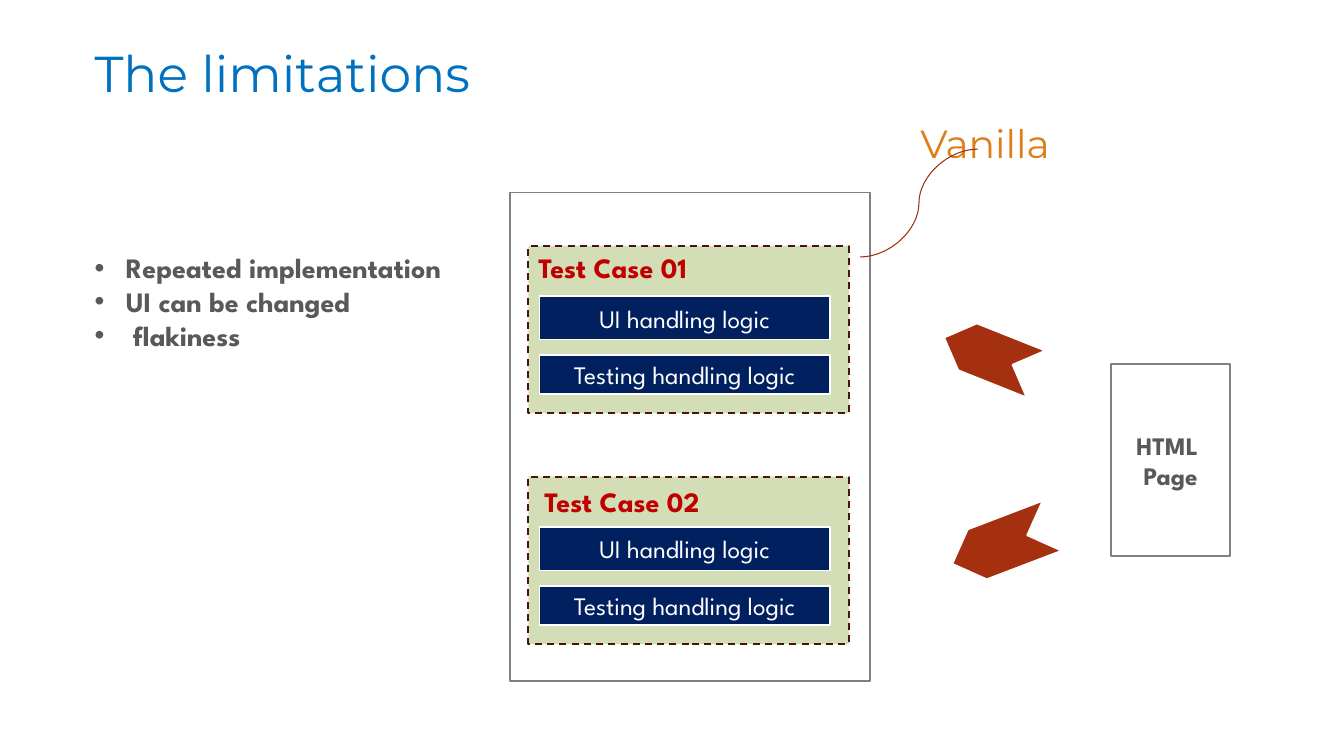
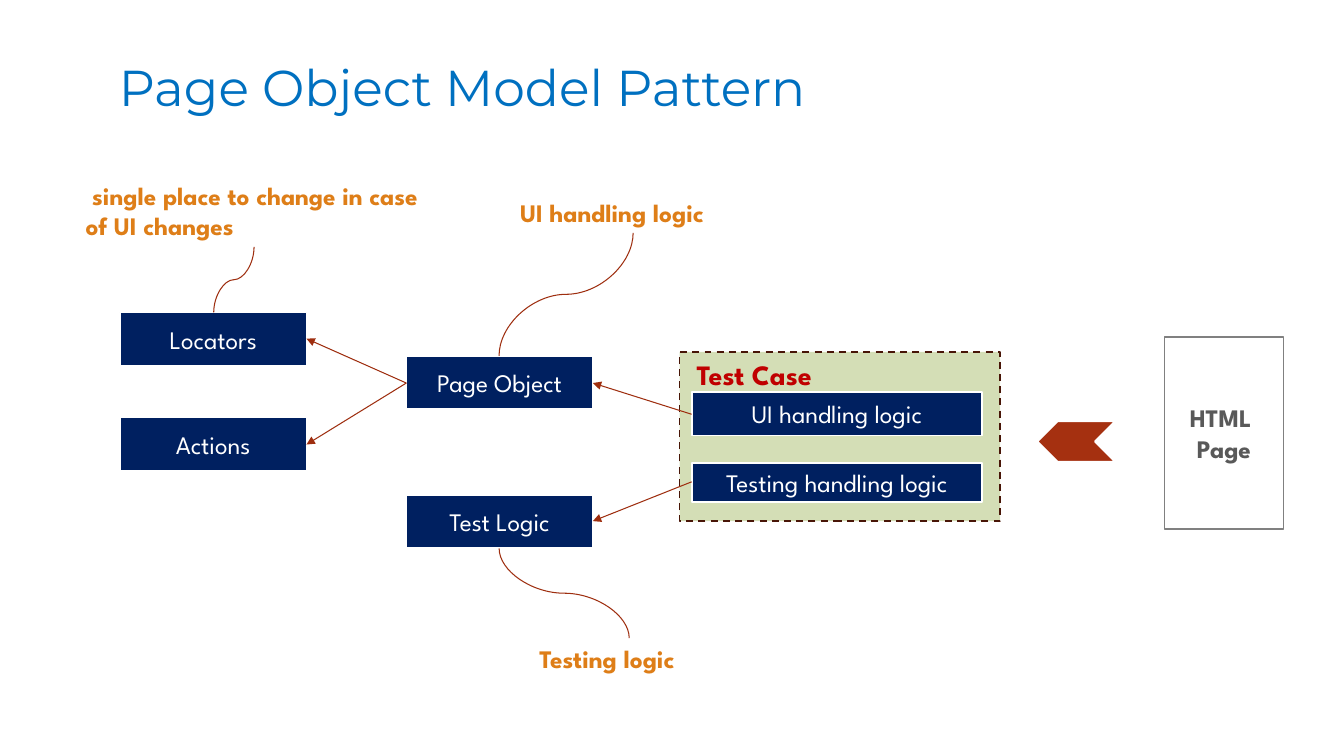
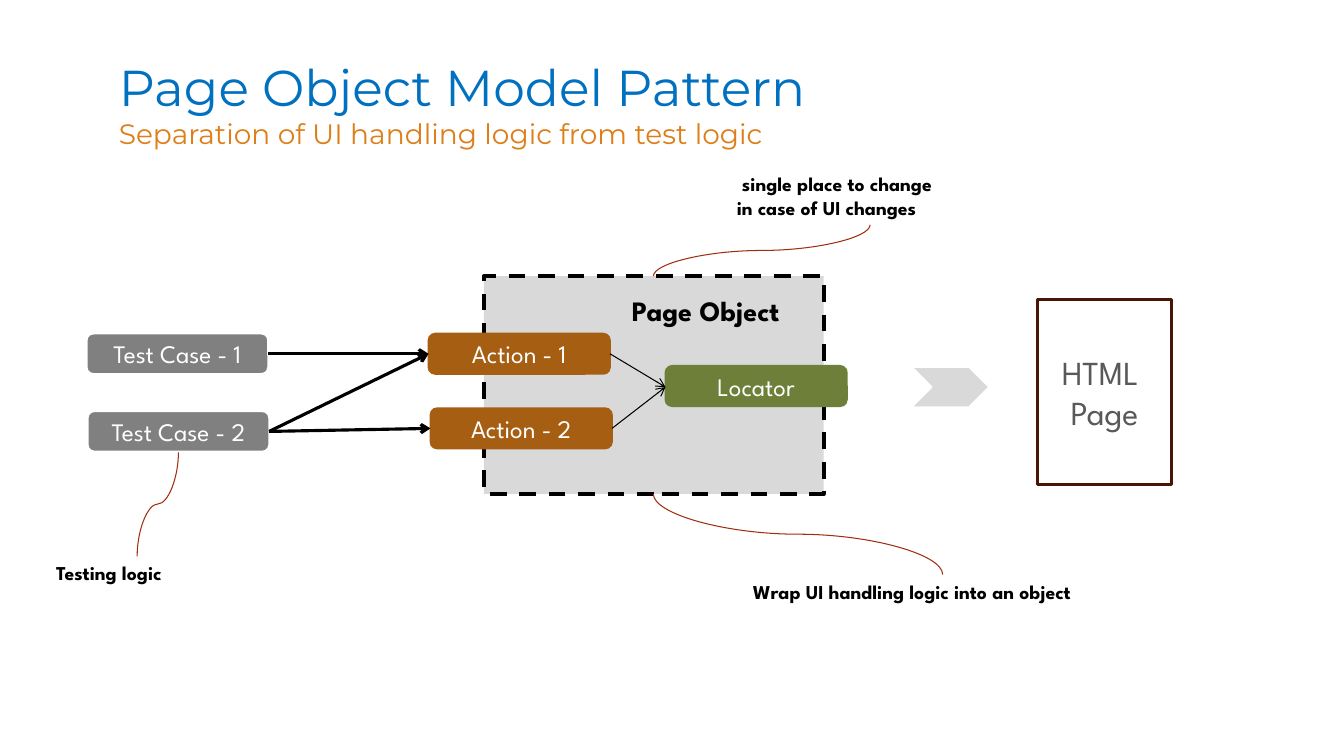
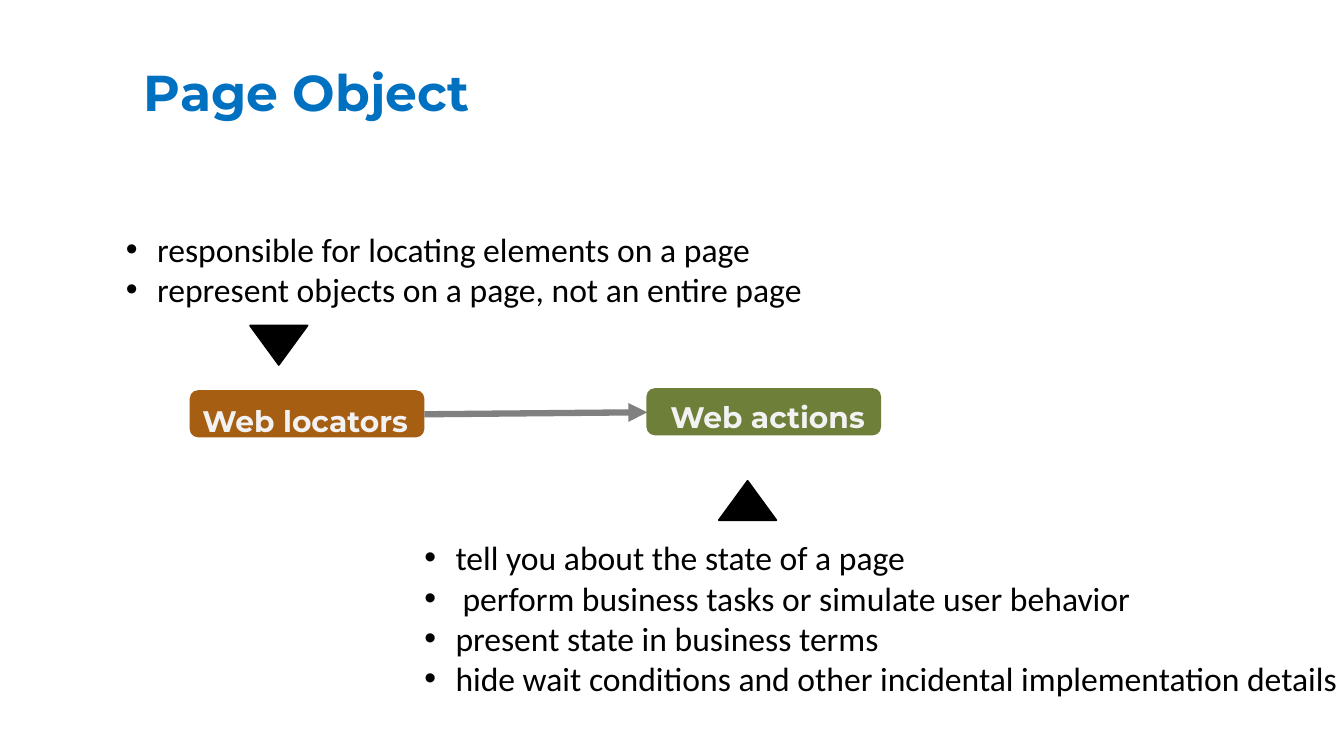
from lxml.etree import SubElement
from pptx import Presentation
from pptx.dml.color import RGBColor
from pptx.enum.dml import MSO_LINE
from pptx.enum.shapes import MSO_CONNECTOR as LINK, MSO_SHAPE as SHAPE
from pptx.enum.text import MSO_ANCHOR as ANCHOR, PP_ALIGN as ALIGN
from pptx.oxml.ns import qn
from pptx.util import Inches, Pt

BLUE = RGBColor(0x00, 0x70, 0xC0)
NAVY = RGBColor(0x00, 0x20, 0x60)
ORANGE = RGBColor(0xDE, 0x7E, 0x18)
BROWN = RGBColor(0xA6, 0x5E, 0x12)
OLIVE = RGBColor(0x6D, 0x7F, 0x39)
SAGE = RGBColor(0xD4, 0xDE, 0xB6)
MAROON = RGBColor(0x48, 0x15, 0x07)
RUST = RGBColor(0xA5, 0x30, 0x10)
WIRE = RGBColor(0x9E, 0x2E, 0x0F)
RED = RGBColor(0xC0, 0x00, 0x00)
GREY = RGBColor(0x80, 0x80, 0x80)
SLATE = RGBColor(0x59, 0x59, 0x59)
SILVER = RGBColor(0xD9, 0xD9, 0xD9)
PALE = RGBColor(0xF2, 0xF2, 0xF2)
WHITE = RGBColor(0xFF, 0xFF, 0xFF)
BLACK = RGBColor(0x00, 0x00, 0x00)

HEADING_FONT = "Montserrat"
LABEL_FONT = "League Spartan"
LIST_FONT = "Calibri"


def inches(values):
    """Convert a sequence of numbers to lengths."""
    return [Inches(value) for value in values]


def add_line(paragraph, words, size, color, bold=False, font=LABEL_FONT):
    """Add one styled run to a paragraph."""
    run = paragraph.add_run()
    run.text = words
    run.font.name = font
    run.font.size = Pt(size)
    run.font.bold = bold
    run.font.color.rgb = color


def fill_frame(frame, lines, align, *style):
    """Write each line as a paragraph of the same style."""
    frame.word_wrap = True
    for index, words in enumerate(lines):
        paragraph = frame.add_paragraph() if index else frame.paragraphs[0]
        paragraph.alignment = align
        add_line(paragraph, words, *style)


def label(slide, box, words, size, color, bold=True, font=LABEL_FONT):
    """Place left-aligned text, one paragraph for each line."""
    frame = slide.shapes.add_textbox(*inches(box)).text_frame
    fill_frame(frame, words.split("\n"), ALIGN.LEFT, size, color, bold, font)
    return frame


def title(slide, box, words, subtitle=None, bold=False):
    """Place the slide title and an optional subtitle."""
    frame = label(slide, box, words, 36, BLUE, bold, HEADING_FONT)
    if subtitle:
        add_line(frame.add_paragraph(), subtitle, 20, ORANGE, font=HEADING_FONT)


def bullets(slide, box, items, *style):
    """Place a bulleted list of (words, indent) items."""
    frame = slide.shapes.add_textbox(*inches(box)).text_frame
    fill_frame(frame, [words for words, _ in items], ALIGN.LEFT, *style)
    for paragraph, (_, indent) in zip(frame.paragraphs, items):
        props = paragraph._p.get_or_add_pPr()
        props.set("marL", str(Inches(indent)))
        props.set("indent", str(-Inches(0.31 if style[2] else indent)))
        SubElement(props, qn("a:buFont")).set("typeface", "Arial")
        SubElement(props, qn("a:buChar")).set("char", "•")


def block(slide, kind, box, fill, outline=WHITE, width=1.25, turn=0, dash=None):
    """Place a filled and outlined preset shape."""
    shape = slide.shapes.add_shape(kind, *inches(box))
    shape.shadow.inherit = False
    shape.rotation = turn
    shape.fill.solid()
    shape.fill.fore_color.rgb = fill
    shape.line.color.rgb = outline
    shape.line.width = Pt(width)
    if dash:
        shape.line.dash_style = dash
    return shape


def caption(shape, words, size=18, color=WHITE, bold=False):
    """Centre text inside a shape."""
    shape.text_frame.vertical_anchor = ANCHOR.MIDDLE
    fill_frame(shape.text_frame, words.split("\n"), ALIGN.CENTER, size, color, bold)


def bar(slide, box, words):
    """Place a navy bar with its caption."""
    caption(block(slide, SHAPE.RECTANGLE, box, NAVY), words)


def pill(slide, left, top, words, fill, outline):
    """Place a rounded box with its caption."""
    box = (left, top, 1.8, 0.4)
    caption(block(slide, SHAPE.ROUNDED_RECTANGLE, box, fill, outline), words)


def link(slide, start, end, color=WIRE, width=0.75, head=None, kind=LINK.STRAIGHT):
    """Draw a connector with an optional arrowhead at its end."""
    line = slide.shapes.add_connector(kind, *inches((*start, *end)))
    line.line.color.rgb = color
    line.line.width = Pt(width)
    if head:
        SubElement(line.line._get_or_add_ln(), qn("a:tailEnd")).set("type", head)
    SubElement(line._element.spPr, qn("a:effectLst"))
    return line


def upright_curve(slide, start, end):
    """Draw an S-curve that leaves and arrives vertically."""
    (x1, y1), (x2, y2) = start, end
    middle_x, middle_y = (x1 + x2) / 2, (y1 + y2) / 2
    sign = -1 if x2 > x1 and y2 > y1 else 1
    across, down = sign * (y1 - y2) / 2, sign * (x2 - x1) / 2
    curve = link(slide, (middle_x + across, middle_y + down),
                 (middle_x - across, middle_y - down), kind=LINK.CURVE)
    frame = curve._element.spPr.find(qn("a:xfrm"))
    frame.set("rot", str((90 if sign > 0 else 270) * 60000))


def html_page(slide, box, outline=GREY, width=1.25, size=18, bold=True):
    """Place the box that stands for the page under test."""
    page = block(slide, SHAPE.RECTANGLE, box, WHITE, outline, width)
    caption(page, "HTML \nPage", size, SLATE, bold)


def test_case(slide, box, name, name_at, bars_at, gap):
    """Place a dashed test case with its name and two logic bars."""
    left, top = box[:2]
    block(slide, SHAPE.RECTANGLE, box, SAGE, MAROON, dash=MSO_LINE.DASH)
    x, y = left + bars_at[0], top + bars_at[1]
    bar(slide, (x, y, 2.88, 0.43), "UI handling logic")
    bar(slide, (x, y + gap, 2.88, 0.39), "Testing handling logic")
    label(slide, (left + name_at[0], top + name_at[1], 1.91, 0.44), name, 20, RED)


def web_part(slide, box, words, fill, offset):
    """Place a rounded box with a heading laid over it."""
    block(slide, SHAPE.ROUNDED_RECTANGLE, box, fill, fill)
    place = (box[0] + offset[0], box[1] + offset[1], 2.31, 0.39)
    label(slide, place, words, 21.2, PALE, True, HEADING_FONT)


def limitations(slide):
    """Build the slide on limitations of repeated test logic."""
    title(slide, (0.84, 0.37, 4.4, 0.77), "The limitations")
    block(slide, SHAPE.RECTANGLE, (5.06, 1.91, 3.57, 4.85), WHITE, GREY)
    html_page(slide, (11.02, 3.61, 1.18, 1.91))
    for top, name, name_at in ((2.44, "Test Case 01", (0, 0)),
                               (4.73, "Test Case 02", (0.06, 0.03))):
        test_case(slide, (5.24, top, 3.18, 1.66), name, name_at, (0.11, 0.5), 0.58)
    block(slide, SHAPE.CHEVRON, (9.33, 3.28, 0.98, 0.5), RUST, turn=201.7)
    block(slide, SHAPE.CHEVRON, (9.41, 5.14, 1.06, 0.53), RUST, turn=159.1)
    bullets(slide, (0.84, 2.44, 4.78, 1.11),
            [("Repeated implementation", 0.31), ("UI can be changed", 0.31),
             ("flakiness", 0.38)], 20, SLATE, True)
    for paragraph in slide.shapes[-1].text_frame.paragraphs:
        props = paragraph._p.pPr
        props.set("indent", str(-int(props.get("marL"))))
    label(slide, (9.03, 1.13, 2.39, 0.57), "Vanilla", 28, ORANGE, False, HEADING_FONT)
    link(slide, (8.53, 2.55), (9.7, 1.48), kind=LINK.CURVE)


def pattern(slide):
    """Build the slide that splits a test case into its parts."""
    title(slide, (1.08, 0.51, 8.35, 0.95), "Page Object Model Pattern")
    block(slide, SHAPE.CHEVRON, (10.29, 4.18, 0.77, 0.4), RUST, turn=180)
    test_case(slide, (6.74, 3.49, 3.18, 1.68), "Test Case", (0.07, 0.01), (0.12, 0.4), 0.7)
    for left, top, words in ((4.03, 4.91, "Test Logic"), (4.03, 3.53, "Page Object"),
                             (1.19, 3.1, "Locators"), (1.19, 4.14, "Actions")):
        bar(slide, (left, top, 1.85, 0.53), words)
    for box, words in (
            ((0.75, 1.74, 3.55, 0.71), " single place to change in case of UI changes"),
            ((5.06, 1.91, 2.44, 0.4), "UI handling logic"),
            ((5.25, 6.33, 1.99, 0.4), "Testing logic")):
        label(slide, box, words, 18, ORANGE)
    for start, end in (((2.12, 3.1), (2.52, 2.45)), ((4.95, 3.53), (6.28, 2.31)),
                       ((4.95, 5.44), (6.24, 6.33))):
        upright_curve(slide, start, end)
    for start, end in (((6.86, 4.11), (5.88, 3.8)), ((6.86, 4.78), (5.88, 5.17)),
                       ((4.03, 3.8), (3.04, 3.36)), ((4.03, 3.8), (3.04, 4.41))):
        link(slide, start, end, head="triangle")
    html_page(slide, (11.55, 3.34, 1.18, 1.91))


def separation(slide):
    """Build the slide that separates handling from test logic."""
    block(slide, SHAPE.RECTANGLE, (4.8, 2.74, 3.37, 2.16), SILVER, BLACK, 3,
          dash=MSO_LINE.DASH)
    title(slide, (1.08, 0.51, 8.35, 1.32), "Page Object Model Pattern",
          "Separation of UI handling logic from test logic")
    html_page(slide, (10.29, 2.97, 1.33, 1.84), MAROON, 2.25, 24, False)
    block(slide, SHAPE.CHEVRON, (9.04, 3.64, 0.77, 0.4), SILVER)
    for box, words, size in (
            ((7.21, 1.66, 2.84, 0.57), " single place to change\nin case of UI changes", 14),
            ((6.17, 2.86, 2.23, 0.44), "Page Object", 20),
            ((0.46, 5.52, 1.8, 0.34), "Testing logic", 14),
            ((7.37, 5.7, 3.96, 0.34), "Wrap UI handling logic into an object", 14)):
        label(slide, box, words, size, BLACK)
    for start, end in (((6.48, 2.74), (8.63, 2.23)), ((6.48, 4.9), (9.35, 5.7)),
                       ((1.77, 4.48), (1.36, 5.52))):
        upright_curve(slide, start, end)
    for left, top, words, fill, outline in (
            (4.25, 3.31, "Action - 1", BROWN, BROWN),
            (4.27, 4.05, "Action - 2", BROWN, BROWN),
            (6.6, 3.63, "Locator", OLIVE, OLIVE),
            (0.86, 3.31, "Test Case - 1", GREY, WHITE),
            (0.87, 4.08, "Test Case - 2", GREY, WHITE)):
        pill(slide, left, top, words, fill, outline)
    for start, end, width in (
            ((6.05, 3.51), (6.6, 3.84), 0.75), ((6.07, 4.25), (6.6, 3.84), 0.75),
            ((2.66, 3.51), (4.25, 3.51), 2.25), ((2.67, 4.28), (4.25, 3.51), 2.25),
            ((2.67, 4.28), (4.27, 4.25), 2.25)):
        link(slide, start, end, BLACK, width, "arrow")


def page_object(slide):
    """Build the slide on web locators and web actions."""
    title(slide, (1.33, 0.56, 4.6, 0.76), "Page Object", bold=True)
    web_part(slide, (1.89, 3.88, 2.31, 0.45), "Web locators", BROWN, (0.02, 0.07))
    link(slide, (4.21, 4.11), (6.42, 4.09), GREY, 4.5, "triangle")
    web_part(slide, (6.42, 3.86, 2.31, 0.45), "Web actions", OLIVE, (0.13, 0.05))
    for left, top, turn in ((2.48, 3.23, 180), (7.13, 4.77, 0)):
        block(slide, SHAPE.ISOSCELES_TRIANGLE, (left, top, 0.57, 0.39), BLACK, BLACK,
              turn=turn)
    style = (24, BLACK, False, LIST_FONT)
    bullets(slide, (1.15, 2.22, 7.27, 0.9),
            [("responsible for locating elements on a page", 0.31),
             ("represent objects on a page, not an entire page", 0.31)], *style)
    bullets(slide, (4.11, 5.28, 9.74, 1.73),
            [("tell you about the state of a page", 0.31),
             ("perform business tasks or simulate user behavior", 0.38),
             ("present state in business terms", 0.31),
             ("hide wait conditions and other incidental implementation details", 0.31)],
            *style)


def main():
    """Build and save the presentation."""
    deck = Presentation()
    deck.slide_width, deck.slide_height = inches((13.33, 7.5))
    for build in (limitations, pattern, separation, page_object):
        build(deck.slides.add_slide(deck.slide_layouts[6]))
    deck.save("out.pptx")


if __name__ == "__main__":
    main()
